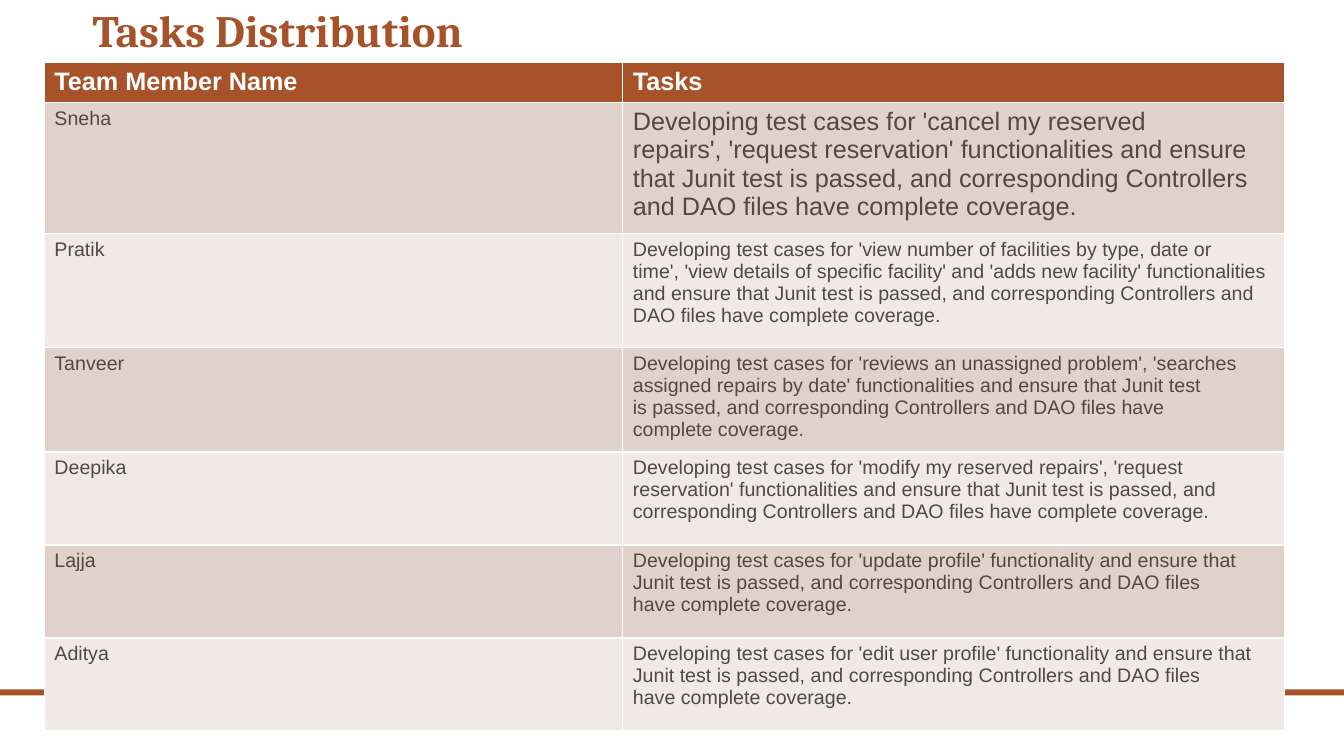
from dataclasses import dataclass

from pptx import Presentation
from pptx import util as u
from pptx.dml.color import RGBColor
from pptx.enum import shapes, text


@dataclass(frozen=True)
class Theme:
    accent: str = "A85229"
    white: str = "FFFFFF"
    ink: str = "514A40"
    bands: tuple = ("E1D1CD", "F1E9E8")
    title_font: str = "Cambria"
    body_font: str = "Arial"
    title_size: int = 32
    large_size: int = 18
    body_size: int = 14


theme = Theme()
hard_space = chr(160)


def style_text(frame, font, size, color, bold=False):
    for para in frame.paragraphs:
        for span in para.runs:
            span.font.name = font
            span.font.size = u.Pt(size)
            span.font.bold = bold
            span.font.color.rgb = RGBColor.from_string(color)


rows = [
    ("Team Member Name", "Tasks", 21.6),
    ("Sneha", "Developing test cases for 'cancel my reserved repairs',~'request reservation' functionalities and~ensure that Junit test is passed, and corresponding Controllers and DAO files have complete~coverage.", 66.4),
    ("Pratik", "Developing test cases for 'view number of facilities by type, date or time',~'view details of specific facility' and 'adds new facility' functionalities and ensure that Junit test is~passed, and corresponding Controllers and DAO files have~complete~coverage.", 81.4),
    ("Tanveer", "Developing test cases for 'reviews an unassigned problem', 'searches assigned repairs by date' functionalities and ensure~that Junit test is~passed,~and corresponding Controllers and DAO files have\ncomplete coverage.", 66.4),
    ("Deepika", "Developing test cases for 'modify my reserved repairs',~'request reservation'~functionalities and~ensure~that Junit test is~passed,~and corresponding~Controllers and DAO files~have~complete~coverage.", 66.4),
    ("Lajja", "Developing test cases for 'update profile' functionality and ensure that Junit test is passed, and corresponding Controllers and DAO files\nhave complete coverage.", 66.4),
    ("Aditya", "Developing test cases for 'edit user profile' functionality and ensure that Junit test is passed, and corresponding Controllers and DAO files\nhave complete coverage.", 66.4),
]

deck = Presentation()
deck.slide_width, deck.slide_height = u.Pt(960), u.Pt(540)
page = deck.slides.add_slide(deck.slide_layouts[6])

stripe = page.shapes.add_shape(shapes.MSO_SHAPE.RECTANGLE, 0, u.Pt(492.5), u.Pt(960), u.Pt(4.3))
stripe.shadow.inherit = False
stripe.fill.solid()
stripe.fill.fore_color.rgb = RGBColor.from_string(theme.accent)
stripe.line.fill.background()

title_box = page.shapes.add_textbox(u.Pt(59.2), u.Pt(-2.4), u.Pt(756), u.Pt(46.8))
title = title_box.text_frame
title.word_wrap = True
title.vertical_anchor = text.MSO_ANCHOR.BOTTOM
title.text = "Tasks Distribution"
title.paragraphs[0].line_spacing = 0.9
style_text(title, theme.title_font, theme.title_size, theme.accent, bold=True)

table_height = sum(height for _, _, height in rows)
table = page.shapes.add_table(len(rows), 2, u.Pt(31.7), u.Pt(44.6), u.Pt(885.6), u.Pt(table_height)).table
for column, width in zip(table.columns, (413.2, 472.4)):
    column.width = u.Pt(width)

for row_index, (member, task, height) in enumerate(rows):
    table.rows[row_index].height = u.Pt(height)
    is_header = row_index == 0
    for column_index, wording in enumerate((member, task)):
        cell = table.cell(row_index, column_index)
        cell.text_frame.text = wording.replace("~", hard_space)
        is_large = is_header or (row_index, column_index) == (1, 1)
        size = theme.large_size if is_large else theme.body_size
        color = theme.white if is_header else theme.ink
        style_text(cell.text_frame, theme.body_font, size, color, bold=is_header)
        cell.fill.solid()
        fill_color = theme.accent if is_header else theme.bands[(row_index - 1) % 2]
        cell.fill.fore_color.rgb = RGBColor.from_string(fill_color)

deck.save("out.pptx")
